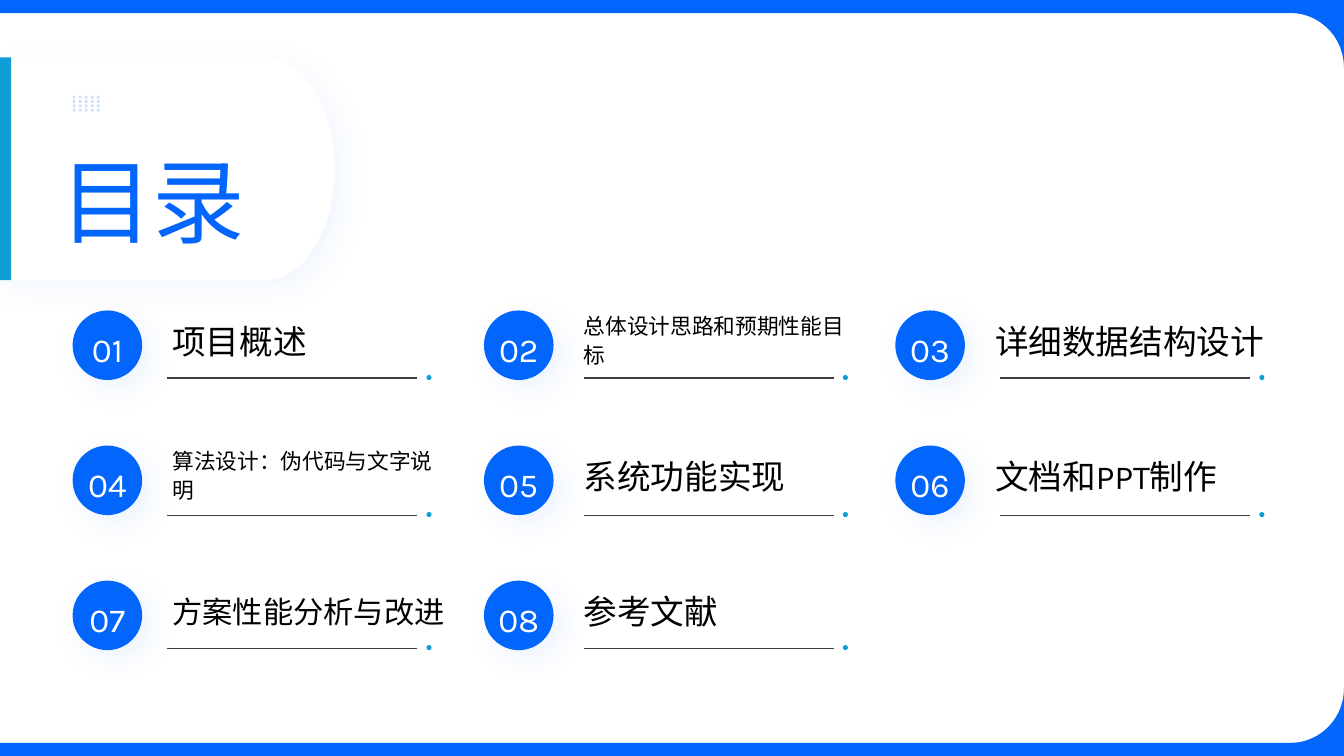
from dataclasses import dataclass

from lxml import etree
from pptx import Presentation
from pptx.dml.color import RGBColor
from pptx.enum.shapes import MSO_CONNECTOR, MSO_SHAPE
from pptx.enum.text import MSO_ANCHOR, PP_ALIGN
from pptx.oxml.ns import qn
from pptx.util import Inches, Pt


@dataclass(frozen=True)
class Theme:
    blue: str = "0265FC"
    teal: str = "0F9ED5"
    white: str = "FFFFFF"
    black: str = "000000"
    rule: str = "404040"
    title_font: str = "Roboto"
    body_font: str = "Karla"
    title_size: float = 66
    body_size: float = 24
    fitted_size: float = 21.6
    small_size: float = 15.5


theme = Theme()


def bezier(start, control1, control2, end, steps=24):
    """Return points along a cubic curve, both ends included."""
    points = []
    for step in range(steps + 1):
        t = step / steps
        weights = ((1 - t) ** 3, 3 * t * (1 - t) ** 2, 3 * t**2 * (1 - t), t**3)
        corners = (start, control1, control2, end)
        points.append(tuple(sum(w * c[axis] for w, c in zip(weights, corners))
                            for axis in (0, 1)))
    return points


def paint(shape, color, alpha=100, shadow_alpha=0, blur=22):
    """Fill a shape without outline; a shadow falls to the lower right."""
    shape.shadow.inherit = False
    shape.fill.solid()
    shape.fill.fore_color.rgb = RGBColor.from_string(color)
    shape.line.fill.background()
    properties = shape.element.spPr
    if alpha < 100:
        fill_color = properties.find(qn("a:solidFill"))[0]
        etree.SubElement(fill_color, qn("a:alpha"), val=str(alpha * 1000))
    if shadow_alpha:
        shadow = etree.SubElement(
            properties.find(qn("a:effectLst")), qn("a:outerShdw"),
            blurRad=str(Pt(blur)), dist=str(Pt(9)), dir=str(45 * 60000),
            algn="tl", rotWithShape="0")
        shadow_color = etree.SubElement(shadow, qn("a:srgbClr"), val=theme.blue)
        etree.SubElement(shadow_color, qn("a:alpha"), val=str(shadow_alpha * 1000))


presentation = Presentation()
presentation.slide_width = Inches(13.33)
presentation.slide_height = Inches(7.5)
slide = presentation.slides.add_slide(presentation.slide_layouts[6])
shapes = slide.shapes

# Blue frame with rounded right corners, and the white title panel
top_band = [(0, 0), (13.33, 0),
            *bezier((13.33, 0.67), (13.33, 0.37), (13.09, 0.13), (12.8, 0.13)),
            (0, 0.13)]
bottom_band = [(x, 7.5 - y) for x, y in top_band]
title_panel = [(0, 0.57),
               *bezier((2.63, 0.57), (3.01, 0.57), (3.32, 1.06), (3.32, 1.67)),
               *bezier((3.32, 1.67), (3.32, 2.28), (3.01, 2.78), (2.63, 2.78)),
               (0, 2.78)]
for color, shadow_alpha, contours in (
    (theme.blue, 0, (top_band, bottom_band)),
    (theme.white, 6, (title_panel,)),
):
    builder = shapes.build_freeform()
    for contour in contours:
        points = [(Inches(x), Inches(y)) for x, y in contour]
        builder.move_to(*points[0])
        builder.add_line_segments(points[1:], close=True)
    paint(builder.convert_to_shape(), color, shadow_alpha=shadow_alpha)

accent_bar = shapes.add_shape(
    MSO_SHAPE.RECTANGLE, 0, Inches(0.57), Inches(0.11), Inches(2.21))
paint(accent_bar, theme.teal)

# Circles: left, top, diameter, colour, opacity, shadow opacity
circles = [(0.72 + 0.06 * column, 0.95 + 0.043 * row, 0.03, theme.blue, 20, 0)
           for row in range(4) for column in range(5)]
# Texts: text, left, top, width, height, font, size, colour, alignment, anchor
texts = [("目录", 0.55, 1.32, 1.93, 1.01, theme.title_font, theme.title_size,
          theme.blue, PP_ALIGN.CENTER, MSO_ANCHOR.TOP)]

chapters = (
    ("项目概述", theme.body_size),
    ("总体设计思路和预期性能目标", theme.small_size),
    ("详细数据结构设计", theme.body_size),
    ("算法设计：伪代码与文字说明", theme.small_size),
    ("系统功能实现", theme.body_size),
    ("文档和PPT制作", theme.body_size),
    ("方案性能分析与改进", theme.fitted_size),
    ("参考文献", theme.body_size),
)
rule_tops = (3.75, 5.11, 6.43)
for index, (chapter, size) in enumerate(chapters):
    row, column = divmod(index, 3)
    left, top = 0.72 + 4.08 * column, 3.08 + 1.34 * row
    circles.append((left, top, 0.69, theme.blue, 100, 8))
    texts.append((f"{index + 1:02}", left + 0.08, top + 0.14, 0.53, 0.36,
                  theme.body_font, theme.body_size, theme.white,
                  PP_ALIGN.CENTER, MSO_ANCHOR.TOP))
    texts.append((chapter, left + 0.99, top - 0.06, 2.73, 0.69,
                  theme.body_font, size, theme.black,
                  PP_ALIGN.LEFT, MSO_ANCHOR.MIDDLE))

    rule_left, rule_top = 1.66 + 4.13 * column, rule_tops[row]
    rule = shapes.add_connector(
        MSO_CONNECTOR.STRAIGHT, Inches(rule_left), Inches(rule_top),
        Inches(rule_left + 2.48), Inches(rule_top))
    rule.line.color.rgb = RGBColor.from_string(theme.rule)
    rule.line.width = Pt(0.75)
    etree.SubElement(rule.element.spPr, qn("a:effectLst"))
    circles.append((rule_left + 2.57, rule_top - 0.03, 0.05, theme.teal, 100, 0))

for left, top, diameter, color, alpha, shadow_alpha in circles:
    circle = shapes.add_shape(MSO_SHAPE.OVAL, Inches(left), Inches(top),
                              Inches(diameter), Inches(diameter))
    paint(circle, color, alpha, shadow_alpha)

for text, left, top, width, height, font, size, color, alignment, anchor in texts:
    text_box = shapes.add_textbox(
        Inches(left), Inches(top), Inches(width), Inches(height))
    frame = text_box.text_frame
    frame.word_wrap = True
    frame.vertical_anchor = anchor
    frame.margin_left = frame.margin_right = 0
    frame.margin_top = frame.margin_bottom = 0
    paragraph = frame.paragraphs[0]
    paragraph.text = text
    paragraph.alignment = alignment
    paragraph.line_spacing = 1.1
    paragraph.font.name = font
    paragraph.font.size = Pt(size)
    paragraph.font.color.rgb = RGBColor.from_string(color)

presentation.save("out.pptx")
